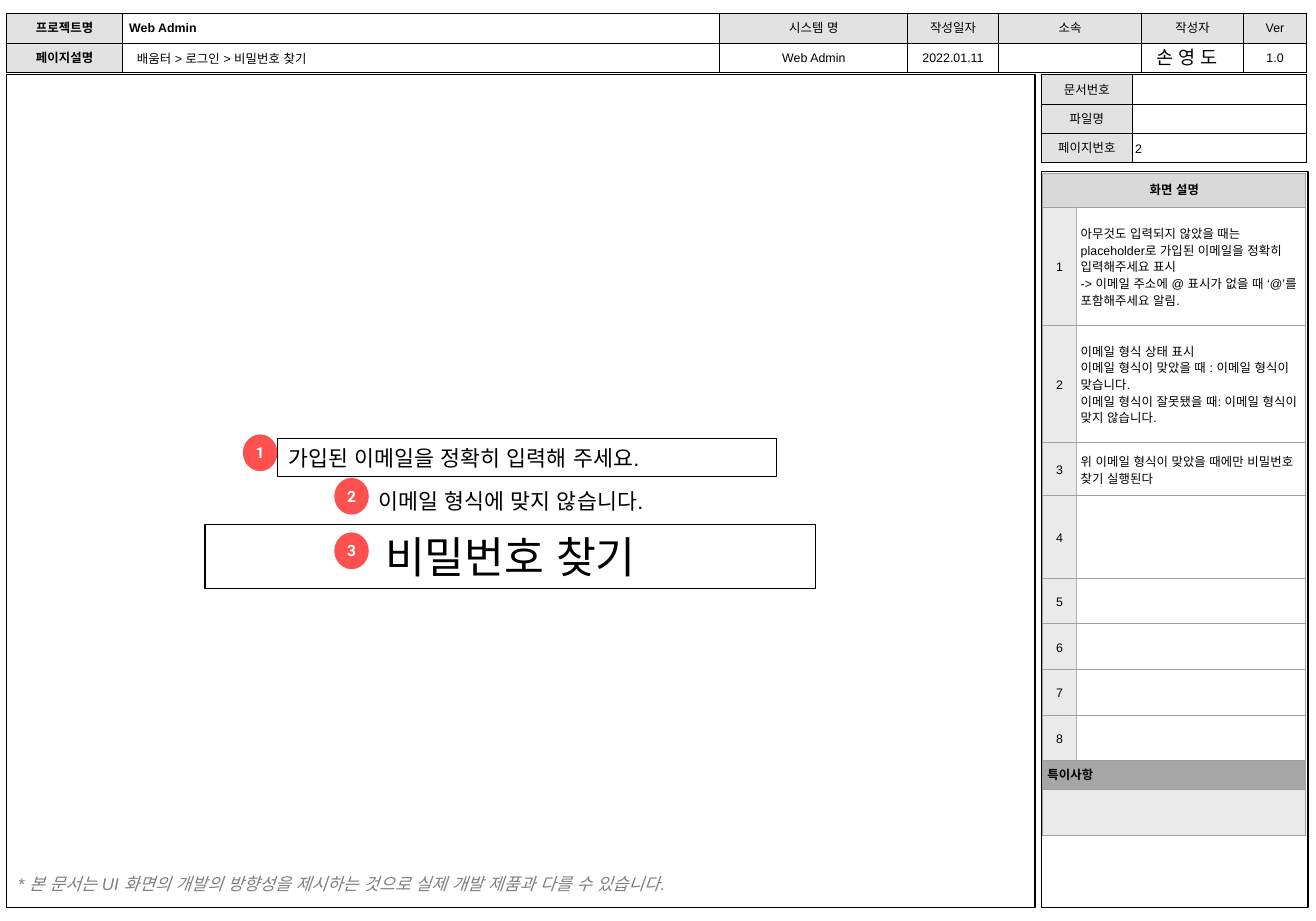
import pptx
import pptx.dml.color
import pptx.enum.lang
import pptx.enum.shapes
import pptx.enum.text
import pptx.oxml
import pptx.oxml.ns
import pptx.util
from pptx.util import Inches

SHAPE = pptx.enum.shapes.MSO_SHAPE
ALIGN = pptx.enum.text.PP_ALIGN
ANCHOR = pptx.enum.text.MSO_ANCHOR
KOREAN = pptx.enum.lang.MSO_LANGUAGE_ID.KOREAN
NAMESPACE = pptx.oxml.ns.nsdecls("a")
BLACK, WHITE, GRAY = "000000", "FFFFFF", "9F9F9F"
LABEL_FILL, NUMBER_FILL = "E2E2E2", "EAEAEA"

DESCRIPTIONS = [
    "아무것도 입력되지 않았을 때는 placeholder로 가입된 이메일을 정확히 입력해주세요 표시\n"
    "-> 이메일 주소에 @ 표시가 없을 때 ‘@’를 포함해주세요 알림.",
    "이메일 형식 상태 표시\n"
    "이메일 형식이 맞았을 때 : 이메일 형식이 맞습니다.\n"
    "이메일 형식이 잘못됐을 때: 이메일 형식이 맞지 않습니다.",
    "위 이메일 형식이 맞았을 때에만 비밀번호 찾기 실행된다",
    "", "", "", "", "",
]


def rgb(value):
    return pptx.dml.color.RGBColor.from_string(value)


def write(frame, text, size=8, color=BLACK, font="Arial", bold=False, italic=False,
          align=ALIGN.LEFT, spacing=None):
    frame.text = text
    for para in frame.paragraphs:
        para.alignment = align
        para.line_spacing = spacing
        para.font.size = pptx.util.Pt(size)
        para.font.name = font
        para.font.bold = bold
        para.font.italic = italic
        para.font.color.rgb = rgb(color)
        para.font.language_id = KOREAN
        latin = para._p.find(".//" + pptx.oxml.ns.qn("a:latin"))
        latin.addnext(pptx.oxml.parse_xml(f'<a:ea {NAMESPACE} typeface="{font}"/>'))
        if not text:
            para._p.append(pptx.oxml.parse_xml(
                f'<a:endParaRPr {NAMESPACE} sz="{size * 100}"/>'))


def set_margins(frame, across, down):
    frame.margin_left = frame.margin_right = Inches(across)
    frame.margin_top = frame.margin_bottom = Inches(down)


def add_text(page, box, text, margins=(0.1, 0.05), **style):
    label = page.shapes.add_textbox(*map(Inches, box))
    label.text_frame.word_wrap = True
    set_margins(label.text_frame, *margins)
    write(label.text_frame, text, **style)


def add_outline(page, box, fill=None):
    shape = page.shapes.add_shape(SHAPE.RECTANGLE, *map(Inches, box))
    shape.shadow.inherit = False
    if fill:
        shape.fill.solid()
        shape.fill.fore_color.rgb = rgb(fill)
    else:
        shape.fill.background()
    shape.line.color.rgb = rgb(BLACK)
    shape.line.width = pptx.util.Pt(0.75)
    shape.text_frame.vertical_anchor = ANCHOR.TOP
    return shape


def add_badge(page, left, top, number):
    badge = page.shapes.add_shape(
        SHAPE.OVAL, Inches(left), Inches(top), Inches(0.31), Inches(0.33))
    badge.shadow.inherit = False
    badge.fill.solid()
    badge.fill.fore_color.rgb = rgb("FF5050")
    badge.line.fill.background()
    set_margins(badge.text_frame, 0, 0)
    badge.text_frame.vertical_anchor = ANCHOR.MIDDLE
    write(badge.text_frame, str(number), size=10, color=WHITE, font="Roboto",
          bold=True, align=ALIGN.CENTER)


def add_grid(page, left, top, columns, rows):
    """Add a table without banding, sized by its columns and rows."""
    frame = page.shapes.add_table(len(rows), len(columns), Inches(left), Inches(top),
                                  Inches(sum(columns)), Inches(sum(rows)))
    table = frame.table
    table.first_row = table.horz_banding = False
    for column, width in zip(table.columns, columns):
        column.width = Inches(width)
    for row, height in zip(table.rows, rows):
        row.height = Inches(height)
    return table


def fill_cell(cell, text, fill, margins=(0.06, 0.05), border=BLACK, sides=None, **style):
    """Set text, borders and fill; sides overrides the border colour of single edges."""
    set_margins(cell, *margins)
    cell.vertical_anchor = ANCHOR.MIDDLE
    properties = cell._tc.get_or_add_tcPr()
    for side in "LRTB":
        color = (sides or {}).get(side, border)
        properties.append(pptx.oxml.parse_xml(
            f'<a:ln{side} {NAMESPACE} w="9525"><a:solidFill>'
            f'<a:srgbClr val="{color}"/></a:solidFill></a:ln{side}>'))
    if fill:
        cell.fill.solid()
        cell.fill.fore_color.rgb = rgb(fill)
    else:
        cell.fill.background()
    write(cell.text_frame, text, **style)


def build_header(page, left, top):
    table = add_grid(page, left, top, [1.04, 5.36, 1.69, 0.81, 1.29, 0.91, 0.57], [0.27, 0.26])
    texts = [
        ["프로젝트명", "Web Admin", "시스템 명", "작성일자", "소속", "작성자", "Ver"],
        ["페이지설명", "", "Web Admin", "2022.01.11", "", "", "1.0"],
    ]
    for row, line in enumerate(texts):
        for column, text in enumerate(line):
            is_label = column == 0 or (row == 0 and column != 1)
            fill_cell(table.cell(row, column), text, LABEL_FILL if is_label else WHITE,
                      bold=column < 2,
                      align=ALIGN.LEFT if column == 1 else ALIGN.CENTER)
    add_text(page, (left + 1.07, top + 0.29, 3.6, 0.2), "배움터 > 로그인 > 비밀번호 찾기")
    add_text(page, (left + 10.22, top + 0.24, 0.82, 0.3), "손 영 도", size=12)


def build_document_info(page, left, top):
    table = add_grid(page, left, top, [0.81, 1.57], [0.27, 0.26, 0.26])
    for row, text in enumerate(["문서번호", "파일명", "페이지번호"]):
        fill_cell(table.cell(row, 0), text, LABEL_FILL, align=ALIGN.CENTER)
        fill_cell(table.cell(row, 1), "", WHITE)
    add_text(page, (left + 0.74, top + 0.55, 0.52, 0.24), "2")


def build_descriptions(page, left, top, width, height):
    add_outline(page, (left, top, width, height), WHITE)
    heights = [0.3, 1.06, 1.05, 0.48, 0.74] + [0.41] * 4 + [0.26, 0.41]
    table = add_grid(page, left + 0.01, top + 0.02, [0.3, 2.06], heights)
    style = {"margins": (0.04, 0.04), "border": GRAY}
    bands = [(0, "화면 설명", "D9D9D9", ALIGN.CENTER),
             (9, "특이사항", "A6A6A6", ALIGN.LEFT),
             (10, "", NUMBER_FILL, ALIGN.LEFT)]
    for row, text, fill, align in bands:
        table.cell(row, 0).merge(table.cell(row, 1))
        fill_cell(table.cell(row, 0), text, fill, bold=True, align=align, **style)
        fill_cell(table.cell(row, 1), "", fill, **style)
    for number, text in enumerate(DESCRIPTIONS, 1):
        fill_cell(table.cell(number, 0), str(number), NUMBER_FILL, sides={"R": "B2B2B2"},
                  align=ALIGN.CENTER, spacing=1.2, **style)
        fill_cell(table.cell(number, 1), text, None, sides={"L": "B2B2B2"},
                  spacing=1.2, **style)


def build_screen(page, left, top, width, height):
    add_outline(page, (left, top, width, height))
    add_text(page, (left + 0.1, top + 7.17, 6.41, 0.19),
             "* 본 문서는 UI 화면의 개발의 방향성을 제시하는 것으로 실제 개발 제품과 다를 수 있습니다.",
             margins=(0, 0), size=11, color="7F7F7F", italic=True)
    button = add_outline(page, (left + 1.78, top + 4.04, 5.48, 0.57))
    write(button.text_frame, "비밀번호 찾기", size=28, align=ALIGN.CENTER)
    email_field = add_outline(page, (left + 2.43, top + 3.27, 4.48, 0.34))
    write(email_field.text_frame, "가입된 이메일을 정확히 입력해 주세요.", size=14)
    add_text(page, (left + 3.24, top + 3.66, 2.84, 0.34), "이메일 형식에 맞지 않습니다.", size=14)
    for number, (x, y) in enumerate([(2.12, 3.23), (2.94, 3.62), (2.94, 4.11)], 1):
        add_badge(page, left + x, top + y, number)


def main():
    deck = pptx.Presentation()
    deck.slide_width, deck.slide_height = pptx.util.Cm(30), pptx.util.Cm(21)
    page = deck.slides.add_slide(deck.slide_layouts[6])
    build_header(page, 0.06, 0.12)
    build_document_info(page, 9.35, 0.67)
    build_screen(page, 0.06, 0.67, 9.23, 7.48)
    build_descriptions(page, 9.35, 1.54, 2.39, 6.61)
    deck.save("out.pptx")


if __name__ == "__main__":
    main()
